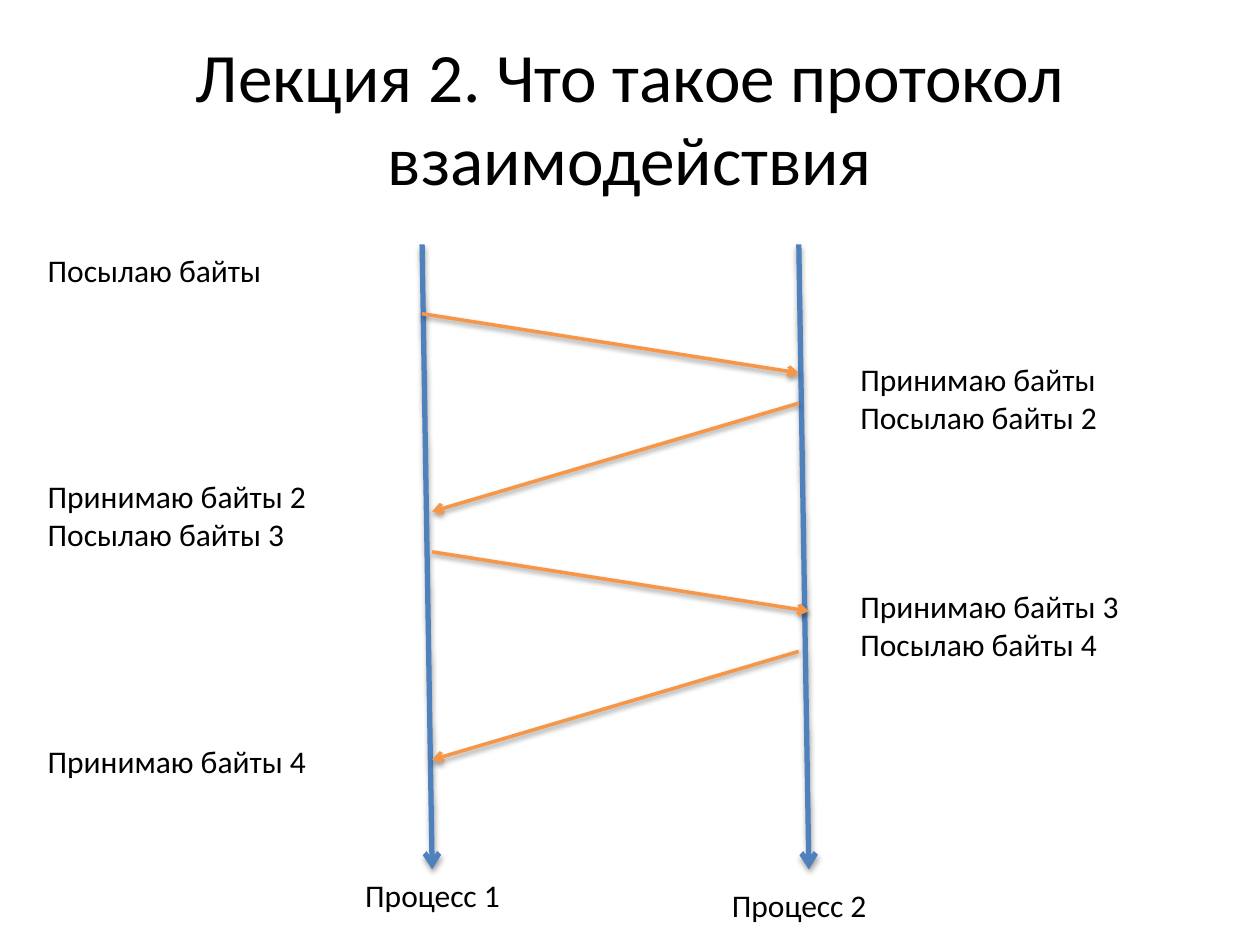
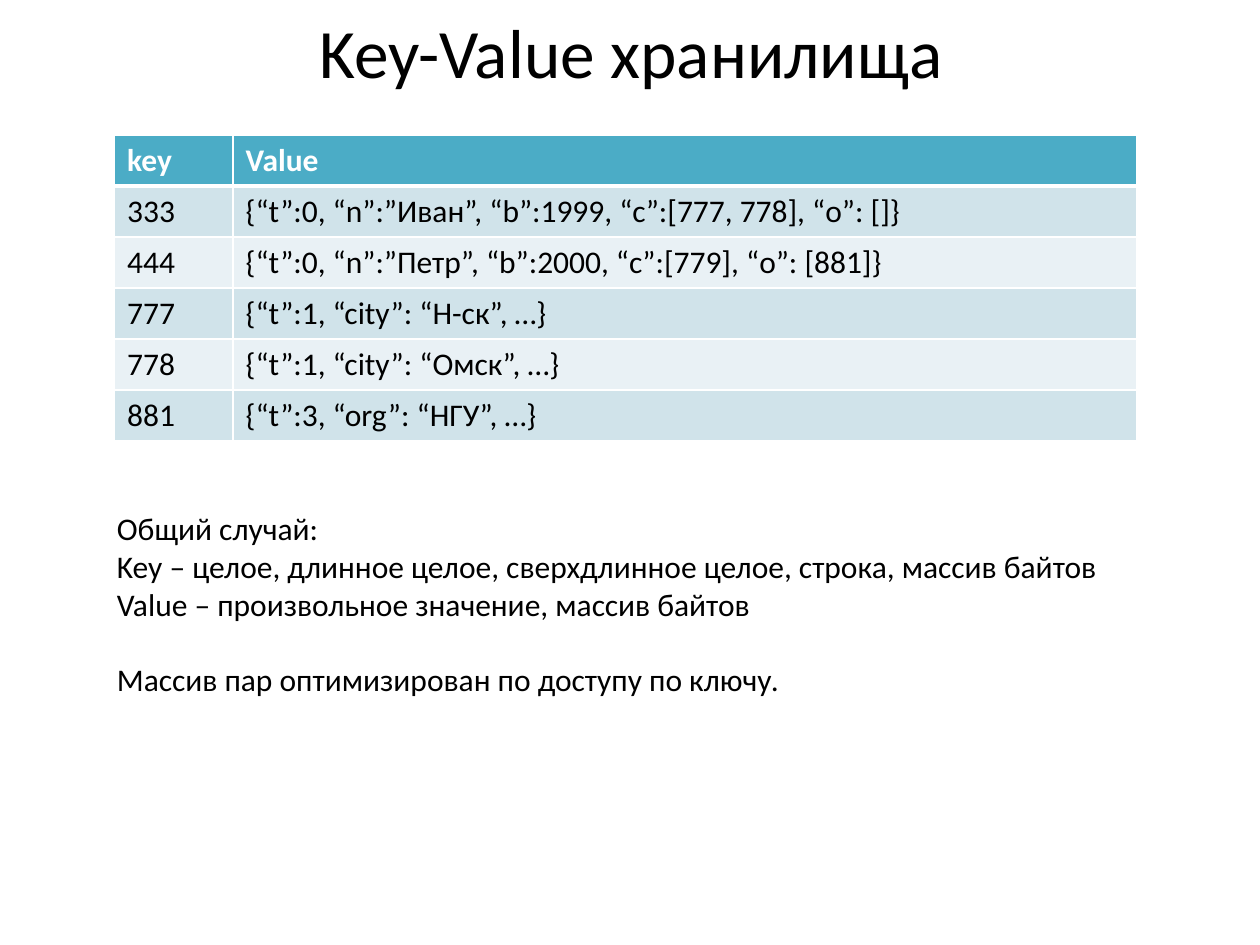
from collections import namedtuple
from dataclasses import dataclass

from lxml import etree
from pptx import Presentation
from pptx import util as u
from pptx.dml.color import RGBColor
from pptx.enum import shapes, text
from pptx.oxml import parse_xml
from pptx.oxml.ns import nsdecls, qn

Box = namedtuple("Box", "left top width height")


@dataclass(frozen=True)
class Theme:
    """Colours, font and type sizes shared by the slides."""
    font: str = "Calibri"
    ink: str = "000000"
    paper: str = "FFFFFF"
    process: str = "4F81BD"
    message: str = "F79646"
    header: str = "4BACC6"
    bands: tuple = ("D0E3EA", "E9F1F5")
    title_size: float = 39.6
    body_size: float = 18
    line_pitch: float = 21.6


THEME = Theme()


def write(frame, groups, size=THEME.body_size, color=THEME.ink, bold=False,
          align=text.PP_ALIGN.LEFT, anchor=text.MSO_ANCHOR.TOP, gap=0):
    """Fill a text frame with groups of lines, set apart by gap lines."""
    frame.word_wrap = True
    frame.vertical_anchor = anchor
    paragraph = None
    for number, group in enumerate(groups):
        for index, line in enumerate(group):
            paragraph = frame.add_paragraph() if paragraph else frame.paragraphs[0]
            paragraph.alignment = align
            if number and index == 0:
                paragraph.space_before = u.Pt(gap * THEME.line_pitch)
            run = paragraph.add_run()
            run.text = line
            run.font.name = THEME.font
            run.font.size = u.Pt(size)
            run.font.bold = bold
            run.font.color.rgb = RGBColor.from_string(color)


def add_text(slide, box, groups, **style):
    """Add a text box filled with groups of lines."""
    label = slide.shapes.add_textbox(*map(u.Pt, box))
    write(label.text_frame, groups, **style)


def add_title(slide, box, heading):
    """Add the centred slide title."""
    add_text(slide, box, [[heading]], size=THEME.title_size,
             align=text.PP_ALIGN.CENTER, anchor=text.MSO_ANCHOR.MIDDLE)


def add_arrow(slide, start, end, color, width, opacity, drop):
    """Draw an arrow with a soft shadow below it."""
    arrow = slide.shapes.add_connector(
        shapes.MSO_CONNECTOR.STRAIGHT, *map(u.Pt, (*start, *end)))
    arrow.line.color.rgb = RGBColor.from_string(color)
    arrow.line.width = u.Pt(width)
    properties = arrow._element.spPr
    etree.SubElement(properties.find(qn("a:ln")), qn("a:tailEnd"), type="arrow")
    properties.append(parse_xml(
        f'<a:effectLst {nsdecls("a")}><a:outerShdw blurRad="{u.Pt(3.1)}" '
        f'dist="{u.Pt(drop)}" dir="5400000" rotWithShape="0">'
        f'<a:srgbClr val="{THEME.ink}"><a:alpha val="{opacity * 1000}"/>'
        '</a:srgbClr></a:outerShdw></a:effectLst>'))


def add_exchange(slide, box):
    """Draw two process timelines and the messages between them."""
    slant = 5.76
    near, far = 0, box.width - slant

    def at(x, y):
        return box.left + x, box.top + y

    for x in (near, far):
        add_arrow(slide, at(x, 0), at(x + slant, box.height),
                  THEME.process, 3, opacity=35, drop=1.8)

    processes = [("Процесс 1", -39.6, box.height),
                 ("Процесс 2", 169.92, box.height + slant)]
    for process, x, y in processes:
        add_text(slide, Box(*at(x, y), 102.24, 28.8), [[process]])

    messages = [(near, 39.6, far, 73.44),
                (far, 90.72, near + slant, 152.64),
                (near + slant, 175.68, far + slant, 209.52),
                (far, 232.56, near + slant, 294.48)]
    for x1, y1, x2, y2 in messages:
        add_arrow(slide, at(x1, y1), at(x2, y2),
                  THEME.message, 2, opacity=38, drop=1.6)


def set_borders(cell, top, bottom):
    """Give a table cell solid borders in the paper colour."""
    properties = cell._tc.get_or_add_tcPr()
    for side, width in (("L", 1), ("R", 1), ("T", top), ("B", bottom)):
        properties.append(parse_xml(
            f'<a:ln{side} {nsdecls("a")} w="{u.Pt(width)}"><a:solidFill>'
            f'<a:srgbClr val="{THEME.paper}"/></a:solidFill></a:ln{side}>'))


def add_pairs(slide, box, key_width, pairs):
    """Add the table of keys and values with banded rows."""
    table = slide.shapes.add_table(len(pairs), 2, *map(u.Pt, box)).table
    table.columns[0].width = u.Pt(key_width)
    table.columns[1].width = u.Pt(box.width - key_width)
    for row, pair in enumerate(pairs):
        table.rows[row].height = u.Pt(box.height / len(pairs))
        is_header = row == 0
        fill = THEME.header if is_header else THEME.bands[(row - 1) % 2]
        for column, content in enumerate(pair):
            cell = table.cell(row, column)
            set_borders(cell, top=3 if row == 1 else 1,
                        bottom=3 if is_header else 1)
            cell.fill.solid()
            cell.fill.fore_color.rgb = RGBColor.from_string(fill)
            write(cell.text_frame, [[content]], bold=is_header,
                  color=THEME.paper if is_header else THEME.ink)


def build_protocol(slide):
    """Build the slide about the interaction protocol."""
    add_title(slide, Box(36, 21.6, 648, 90),
              "Лекция 2. Что такое протокол взаимодействия")
    add_exchange(slide, Box(241.2, 139.68, 221.04, 357.12))
    add_text(slide, Box(20.16, 139.68, 169.92, 312.48),
             [["Посылаю байты"],
              ["Принимаю байты 2", "Посылаю байты 3"],
              ["Принимаю байты 4"]], gap=5)
    add_text(slide, Box(484.56, 202.32, 169.92, 181.44),
             [["Принимаю байты", "Посылаю байты 2"],
              ["Принимаю байты 3", "Посылаю байты 4"]], gap=4)


def build_storage(slide):
    """Build the slide about key-value storage."""
    add_title(slide, Box(36.72, 15.12, 648, 27.36), "Key-Value хранилища")
    add_pairs(slide, Box(65.52, 77.04, 583.92, 174.96), 67.68, [
        ("key", "Value"),
        ("333", "{“t”:0, “n”:”Иван”, “b”:1999, “c”:[777, 778], “o”: []}"),
        ("444", "{“t”:0, “n”:”Петр”, “b”:2000, “c”:[779], “o”: [881]}"),
        ("777", "{“t”:1, “city”: “Н-ск”, …}"),
        ("778", "{“t”:1, “city”: “Омск”, …}"),
        ("881", "{“t”:3, “org”: “НГУ”, …}"),
    ])
    add_text(slide, Box(59.76, 287.28, 612, 116.64),
             [["Общий случай:",
               "Key – целое, длинное целое, сверхдлинное целое, строка, массив байтов",
               "Value – произвольное значение, массив байтов"],
              ["Массив пар оптимизирован по доступу по ключу."]], gap=1)


def main():
    """Build and save the presentation."""
    deck = Presentation()
    deck.slide_width, deck.slide_height = u.Pt(720), u.Pt(540)
    for build in (build_protocol, build_storage):
        build(deck.slides.add_slide(deck.slide_layouts[6]))
    deck.save("out.pptx")


if __name__ == "__main__":
    main()
